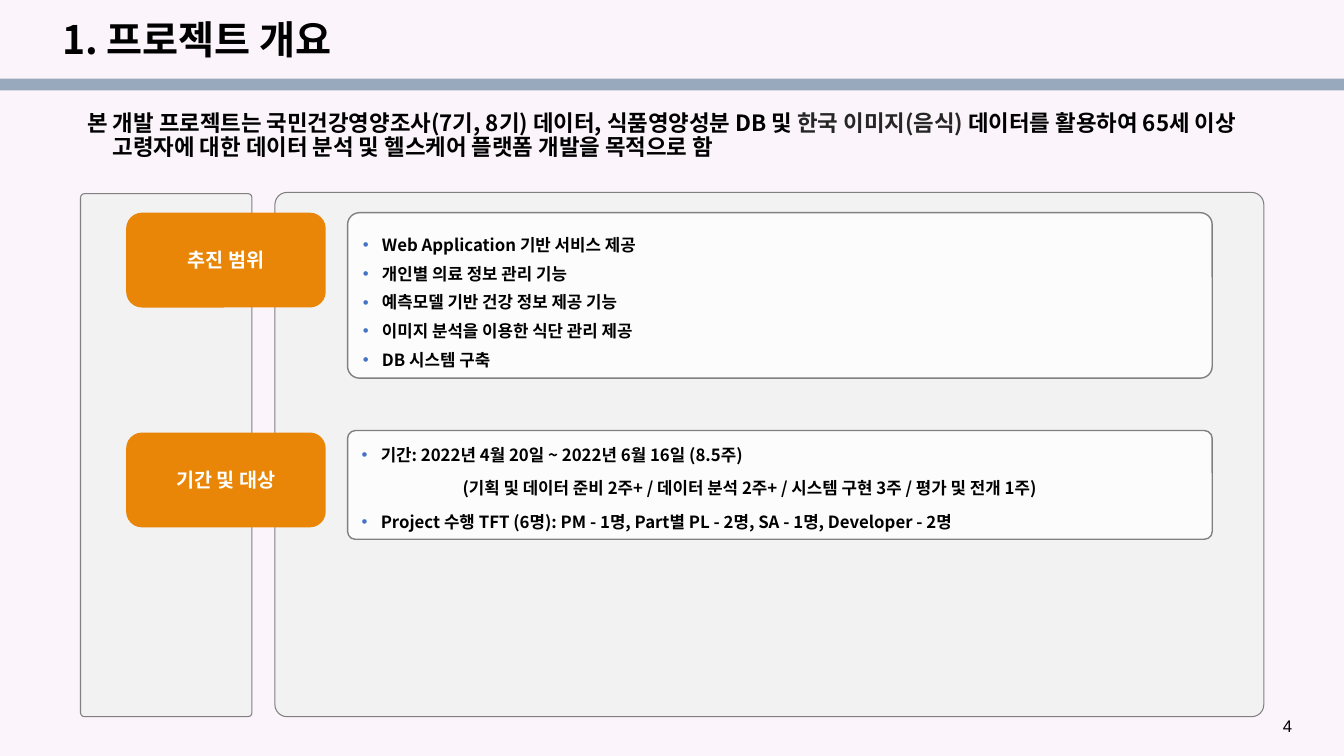
from lxml import etree
from pptx import Presentation
from pptx.dml.color import RGBColor
from pptx.enum.shapes import MSO_SHAPE
from pptx.enum.text import MSO_ANCHOR, PP_ALIGN
from pptx.oxml.ns import qn
from pptx.util import Cm, Pt

RECT, ROUND = MSO_SHAPE.RECTANGLE, MSO_SHAPE.ROUNDED_RECTANGLE
TOP, MIDDLE, BOTTOM = MSO_ANCHOR.TOP, MSO_ANCHOR.MIDDLE, MSO_ANCHOR.BOTTOM
CENTER = PP_ALIGN.CENTER

# Content
TITLE = "1. 프로젝트 개요"
PAGE = "4"
LEAD = [
    ("본 개발 프로젝트는 국민건강영양조사(7기, 8기) 데이터, 식품영양성분 DB 및 ", "ink"),
    ("한국 이미지(음식) ", "soft"),
    ("데이터를 활용하여 65세 이상 고령자에 대한 데이터 분석 및 "
     "헬스케어 플랫폼 개발을 목적으로 함", "ink"),
]
# Each line: text, has bullet
SCOPE = [
    ("Web Application 기반 서비스 제공", True),
    ("개인별 의료 정보 관리 기능", True),
    ("예측모델 기반 건강 정보 제공 기능", True),
    ("이미지 분석을 이용한 식단 관리 제공", True),
    ("DB 시스템 구축", True),
]
PERIOD = [
    ("기간: 2022년 4월 20일 ~ 2022년 6월 16일 (8.5주)", True),
    ("(기획 및 데이터 준비 2주+ / 데이터 분석 2주+ / 시스템 구현 3주 / 평가 및 전개 1주)", False),
    ("Project 수행 TFT (6명): PM - 1명, Part별 PL - 2명, SA - 1명, Developer - 2명", True),
]
# Each row: label, label top, card top, card height, lines, line spacing, space before
ROWS = [
    ("추진 범위", 5.36, 5.36, 4.17, SCOPE, 1.0, 6),
    ("기간 및 대상", 10.9, 10.85, 2.74, PERIOD, 1.5, 2.4),
]
PANELS = [(6.93, 4.85, 24.92, 13.21), (2.03, 4.88, 4.32, 13.18)]

THEME = {
    "font": "Noto Sans CJK KR", "num_font": "Arial",
    "back": "FBF4FB", "bar": "98A8BD", "panel": "F2F2F2", "edge": "808080",
    "tag": "E98607", "card": "FFFFFF", "ink": "000000", "soft": "262626",
    "dot": "4472C4",
    "title": 28, "lead": 16, "label": 14, "body": 12,
}


def color(key):
    return RGBColor.from_string(THEME[key])


def add_box(slide, box, kind, fill, line=0, round_by=None):
    shape = slide.shapes.add_shape(kind, *map(Cm, box))
    shape.shadow.inherit = False
    shape.fill.solid()
    shape.fill.fore_color.rgb = color(fill)
    if line:
        shape.line.color.rgb = color("edge")
        shape.line.width = Pt(line)
    else:
        shape.line.fill.background()
    if round_by is not None:
        shape.adjustments[0] = round_by
    return shape


def set_frame(shape, anchor, left=0.25):
    frame = shape.text_frame
    frame.word_wrap = True
    frame.vertical_anchor = anchor
    frame.margin_left, frame.margin_right = Cm(left), Cm(0.25)
    frame.margin_top = frame.margin_bottom = Cm(0.13)
    return frame


def add_text(slide, box):
    return set_frame(slide.shapes.add_textbox(*map(Cm, box)), TOP)


def set_font(para, size, ink="ink", face="font", bold=True):
    font = para.font
    font.name, font.size, font.bold = THEME[face], Pt(THEME[size]), bold
    font.color.rgb = color(ink)
    props = para._p.pPr.find(qn("a:defRPr"))
    etree.SubElement(props, qn("a:ea"), typeface=THEME[face])


def indent(para, left, first=0.0):
    props = para._p.get_or_add_pPr()
    props.set("marL", str(Cm(left)))
    props.set("indent", str(Cm(first)))
    return props


def add_dot(para):
    props = indent(para, 0.48, -0.48)
    tint = etree.SubElement(props, qn("a:buClr"))
    etree.SubElement(tint, qn("a:srgbClr"), val=THEME["dot"])
    etree.SubElement(props, qn("a:buFont"), typeface=THEME["num_font"])
    etree.SubElement(props, qn("a:buChar"), char="•")


def add_card(slide, box, lines, spacing, gap):
    card = add_box(slide, box, ROUND, "card", 1, 0.072)
    tint = card._element.spPr.find(qn("a:solidFill"))[0]
    etree.SubElement(tint, qn("a:alpha"), val="83000")
    frame = set_frame(card, BOTTOM, 0.3)
    for i, (text, dotted) in enumerate(lines):
        para = frame.add_paragraph() if i else frame.paragraphs[0]
        para.text = text
        para.alignment = PP_ALIGN.LEFT
        para.line_spacing = spacing
        if i:
            para.space_before = Pt(gap)
        if dotted:
            add_dot(para)
        else:
            indent(para, 2.54)
        set_font(para, "body")


def main():
    deck = Presentation()
    deck.slide_width, deck.slide_height = Cm(33.87), Cm(19.05)
    slide = deck.slides.add_slide(deck.slide_layouts[6])
    slide.background.fill.solid()
    slide.background.fill.fore_color.rgb = color("back")

    # Header bar, page number and title
    add_box(slide, (0, 1.98, 33.87, 0.3), RECT, "bar")
    page = add_text(slide, (32.08, 17.91, 1.32, 0.69)).paragraphs[0]
    page.text = PAGE
    set_font(page, "body", face="num_font", bold=False)
    title = add_text(slide, (1.32, 0.38, 29.21, 1.35)).paragraphs[0]
    title.text = TITLE
    title.line_spacing = 0.9
    set_font(title, "title")

    # Lead sentence
    lead = add_text(slide, (1.32, 2.69, 30.53, 1.8)).paragraphs[0]
    lead.line_spacing = 0.9
    indent(lead, 1.27, -0.64)
    set_font(lead, "lead")
    for text, ink in LEAD:
        run = lead.add_run()
        run.text = text
        run.font.color.rgb = color(ink)

    # Back panels
    for box in PANELS:
        add_box(slide, box, ROUND, "panel", 0.75, 0.023)

    # Labels and cards
    for label, tag_top, top, height, lines, spacing, gap in ROWS:
        tag = add_box(slide, (3.18, tag_top, 5.03, 2.39), ROUND, "tag", 0, 0.167)
        para = set_frame(tag, MIDDLE).paragraphs[0]
        para.text = label
        para.alignment = CENTER
        set_font(para, "label", "card")
        add_card(slide, (8.76, top, 21.79, height), lines, spacing, gap)

    deck.save("out.pptx")


if __name__ == "__main__":
    main()
